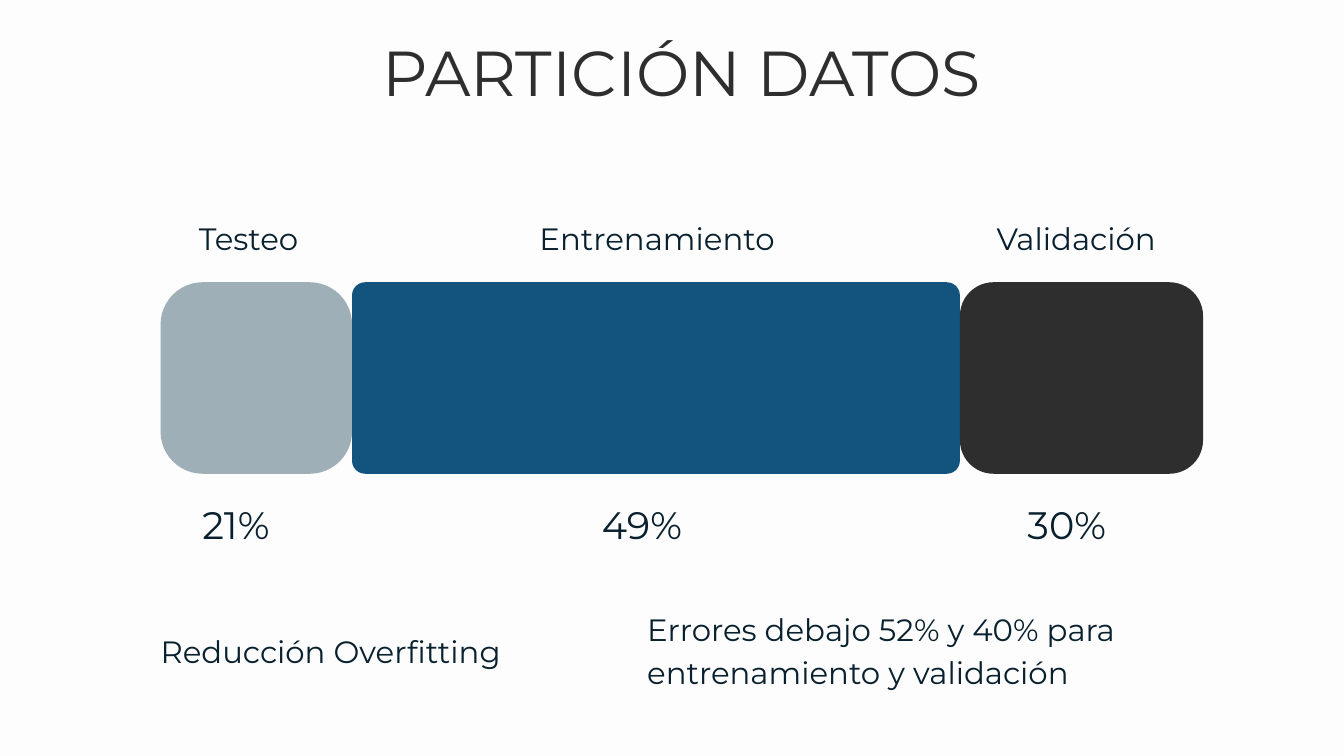
"""Build a slide that shows how the data set is partitioned."""
from pptx import Presentation
from pptx.dml.color import RGBColor
from pptx.enum.shapes import MSO_SHAPE as Shape
from pptx.enum.text import PP_ALIGN as Align
from pptx.util import Pt

FONT = "Montserrat"
COLORS = {
    "background": "FDFDFD",
    "test": "9FAFB7",
    "training": "13547E",
    "validation": "2E2E2E",
    "title": "2E2E2E",
    "text": "09202E",
}
BAR_LEFT, BAR_TOP, BAR_HEIGHT = 172, 302.4, 205.2
LABEL_TOP, PERCENT_TOP = 229, 529.2

# color, width, corner radius, label, label left, percent, percent left
PARTITIONS = [
    ("test", 205.2, 45.2, "Testeo", 213, "21%", 216.7),
    ("training", 651.3, 14, "Entrenamiento", 578, "49%", 645),
    ("validation", 260.5, 36, "Validación", 1067.8, "30%", 1100.9),
]


def color(name):
    return RGBColor.from_string(COLORS[name])


def add_text(slide, text, left, top, width, height, size=33, spacing=46.1,
             fill="text", align=Align.LEFT):
    box = slide.shapes.add_textbox(Pt(left), Pt(top), Pt(width), Pt(height))
    frame = box.text_frame
    frame.word_wrap = True
    frame.margin_left = frame.margin_right = 0
    frame.margin_top = frame.margin_bottom = 0
    paragraph = frame.paragraphs[0]
    paragraph.alignment = align
    paragraph.line_spacing = Pt(spacing)
    run = paragraph.add_run()
    run.text = text
    run.font.name = FONT
    run.font.size = Pt(size)
    run.font.color.rgb = color(fill)


def add_segment(slide, left, width, radius, fill):
    shape = slide.shapes.add_shape(Shape.ROUNDED_RECTANGLE, Pt(left), Pt(BAR_TOP),
                                   Pt(width), Pt(BAR_HEIGHT))
    shape.adjustments[0] = radius / min(width, BAR_HEIGHT)
    shape.shadow.inherit = False
    shape.fill.solid()
    shape.fill.fore_color.rgb = color(fill)
    shape.line.fill.background()


def add_partitions(slide):
    left = BAR_LEFT
    for fill, width, radius, label, label_left, percent, percent_left in PARTITIONS:
        add_segment(slide, left, width, radius, fill)
        add_text(slide, label, label_left, LABEL_TOP, 300, 46)
        add_text(slide, percent, percent_left, PERCENT_TOP, 115, 56, size=41, spacing=57.3)
        left += width


def main():
    presentation = Presentation()
    presentation.slide_width, presentation.slide_height = Pt(1440), Pt(810)
    slide = presentation.slides.add_slide(presentation.slide_layouts[6])
    slide.background.fill.solid()
    slide.background.fill.fore_color.rgb = color("background")

    add_text(slide, "PARTICIÓN DATOS", 21, 21.6, 1419, 94.3, size=68, spacing=95.2,
             fill="title", align=Align.CENTER)
    add_partitions(slide)
    add_text(slide, "Reducción Overfitting", BAR_LEFT, 671.8, 423, 46)
    add_text(slide, "Errores debajo 52% y 40% para entrenamiento y validación",
             693.4, 648, 665, 93)
    presentation.save("out.pptx")


if __name__ == "__main__":
    main()
